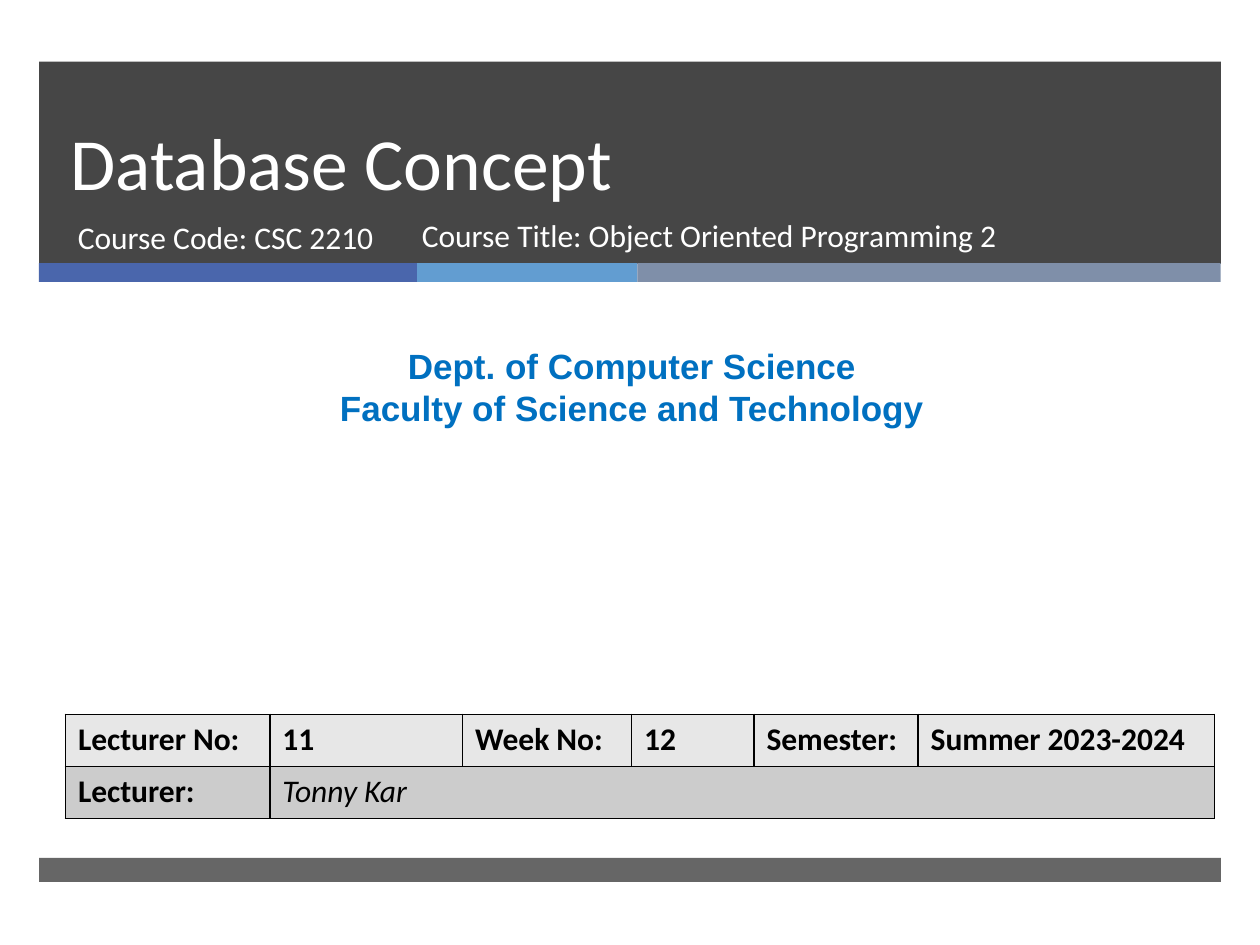
"""Build the title slide of a lecture on database concepts."""
from dataclasses import dataclass

from lxml.etree import SubElement
from pptx import Presentation
from pptx.dml.color import RGBColor
from pptx.enum.shapes import MSO_SHAPE
from pptx.enum.text import MSO_ANCHOR, PP_ALIGN
from pptx.oxml.ns import qn
from pptx.slide import Slide
from pptx.table import _Cell
from pptx.util import Pt

WHITE = RGBColor(0xFF, 0xFF, 0xFF)
BLACK = RGBColor(0x00, 0x00, 0x00)
CHARCOAL = RGBColor(0x26, 0x26, 0x26)
INDIGO = RGBColor(0x4A, 0x66, 0xAC)
SKY = RGBColor(0x62, 0x9D, 0xD1)
SLATE = RGBColor(0x7F, 0x8F, 0xA9)
BLUE = RGBColor(0x00, 0x70, 0xC0)
LIGHT_GRAY = RGBColor(0xE7, 0xE7, 0xE7)
MID_GRAY = RGBColor(0xCC, 0xCC, 0xCC)


@dataclass(frozen=True)
class Band:
    left: float
    top: float
    width: float
    height: float
    color: RGBColor
    opacity: int = 100


@dataclass(frozen=True)
class Label:
    text: str
    left: float
    top: float
    width: float
    height: float
    size: float = 18
    font: str = "Calibri"
    color: RGBColor = WHITE
    bold: bool = False
    align: PP_ALIGN = PP_ALIGN.LEFT
    anchor: MSO_ANCHOR = MSO_ANCHOR.TOP
    line_height: float | None = None


BANDS = [
    Band(22.3, 35.2, 675.3, 115.6, CHARCOAL, 85),
    Band(22.3, 150.3, 216, 10.8, INDIGO),
    Band(238.3, 150.3, 126, 10.8, SKY),
    Band(364.3, 150.3, 333.3, 10.8, SLATE),
    Band(22.3, 490.2, 675.3, 13.8, CHARCOAL, 70),
]
LABELS = [
    Label("Database Concept", 33.1, 35.2, 615, 85.7, 42,
          anchor=MSO_ANCHOR.BOTTOM, line_height=46),
    Label("Course Code: CSC 2210", 37.4, 121, 219.6, 38.2),
    Label("Course Title: Object Oriented Programming 2", 234, 119.8, 368, 38.2),
    Label("Dept. of Computer Science\nFaculty of Science and Technology",
          5.8, 193.3, 710.6, 55.4, 20, "Arial", BLUE, True, PP_ALIGN.CENTER),
]
COLUMN_WIDTHS = [116.8, 110.2, 96.5, 70, 93.8, 169.3]
ROW_HEIGHT = 29.8
ROWS = [
    (["Lecturer No:", "11", "Week No:", "12", "Semester:", "Summer 2023-2024"], LIGHT_GRAY),
    (["Lecturer:", "Tonny Kar", "", "", "", ""], MID_GRAY),
]


def draw_band(page: Slide, band: Band) -> None:
    shape = page.shapes.add_shape(MSO_SHAPE.RECTANGLE, Pt(band.left), Pt(band.top),
                                  Pt(band.width), Pt(band.height))
    shape.shadow.inherit = False
    shape.line.fill.background()
    shape.fill.solid()
    shape.fill.fore_color.rgb = band.color
    if band.opacity < 100:
        color = shape.fill._xPr.find(qn("a:solidFill"))[0]
        SubElement(color, qn("a:alpha"), val=str(band.opacity * 1000))


def draw_label(page: Slide, label: Label) -> None:
    box = page.shapes.add_textbox(Pt(label.left), Pt(label.top),
                                  Pt(label.width), Pt(label.height))
    frame = box.text_frame
    frame.word_wrap = True
    frame.vertical_anchor = label.anchor
    frame.text = label.text
    for para in frame.paragraphs:
        para.alignment = label.align
        if label.line_height:
            para.line_spacing = Pt(label.line_height)
        for span in para.runs:
            span.font.name = label.font
            span.font.size = Pt(label.size)
            span.font.bold = label.bold
            span.font.color.rgb = label.color


def style_cell(cell: _Cell, fill: RGBColor) -> None:
    properties = cell._tc.get_or_add_tcPr()
    for side in ("lnL", "lnR", "lnT", "lnB"):
        border = SubElement(properties, qn(f"a:{side}"), w=str(Pt(1)))
        paint = SubElement(border, qn("a:solidFill"))
        SubElement(paint, qn("a:srgbClr"), val=str(BLACK))
    cell.fill.solid()
    cell.fill.fore_color.rgb = fill
    for span in cell.text_frame.paragraphs[0].runs:
        span.font.name = "Calibri"
        span.font.size = Pt(18)
        span.font.bold = True
        span.font.color.rgb = BLACK


def draw_lecture_table(page: Slide) -> None:
    table = page.shapes.add_table(len(ROWS), len(COLUMN_WIDTHS), Pt(37.4), Pt(408.2),
                                  Pt(sum(COLUMN_WIDTHS)), Pt(ROW_HEIGHT * len(ROWS))).table
    for column, width in zip(table.columns, COLUMN_WIDTHS):
        column.width = Pt(width)
    for row_index, (texts, fill) in enumerate(ROWS):
        table.rows[row_index].height = Pt(ROW_HEIGHT)
        for column_index, text in enumerate(texts):
            cell = table.cell(row_index, column_index)
            cell.text_frame.text = text
            style_cell(cell, fill)
    lecturer = table.cell(1, 1)
    lecturer.merge(table.cell(1, len(COLUMN_WIDTHS) - 1))
    name = lecturer.text_frame.paragraphs[0].runs[0]
    name.font.bold = False
    name.font.italic = True


def main() -> None:
    deck = Presentation()
    deck.slide_width, deck.slide_height = Pt(720), Pt(540)
    page = deck.slides.add_slide(deck.slide_layouts[6])
    for band in BANDS:
        draw_band(page, band)
    for label in LABELS:
        draw_label(page, label)
    draw_lecture_table(page)
    deck.save("out.pptx")


if __name__ == "__main__":
    main()
